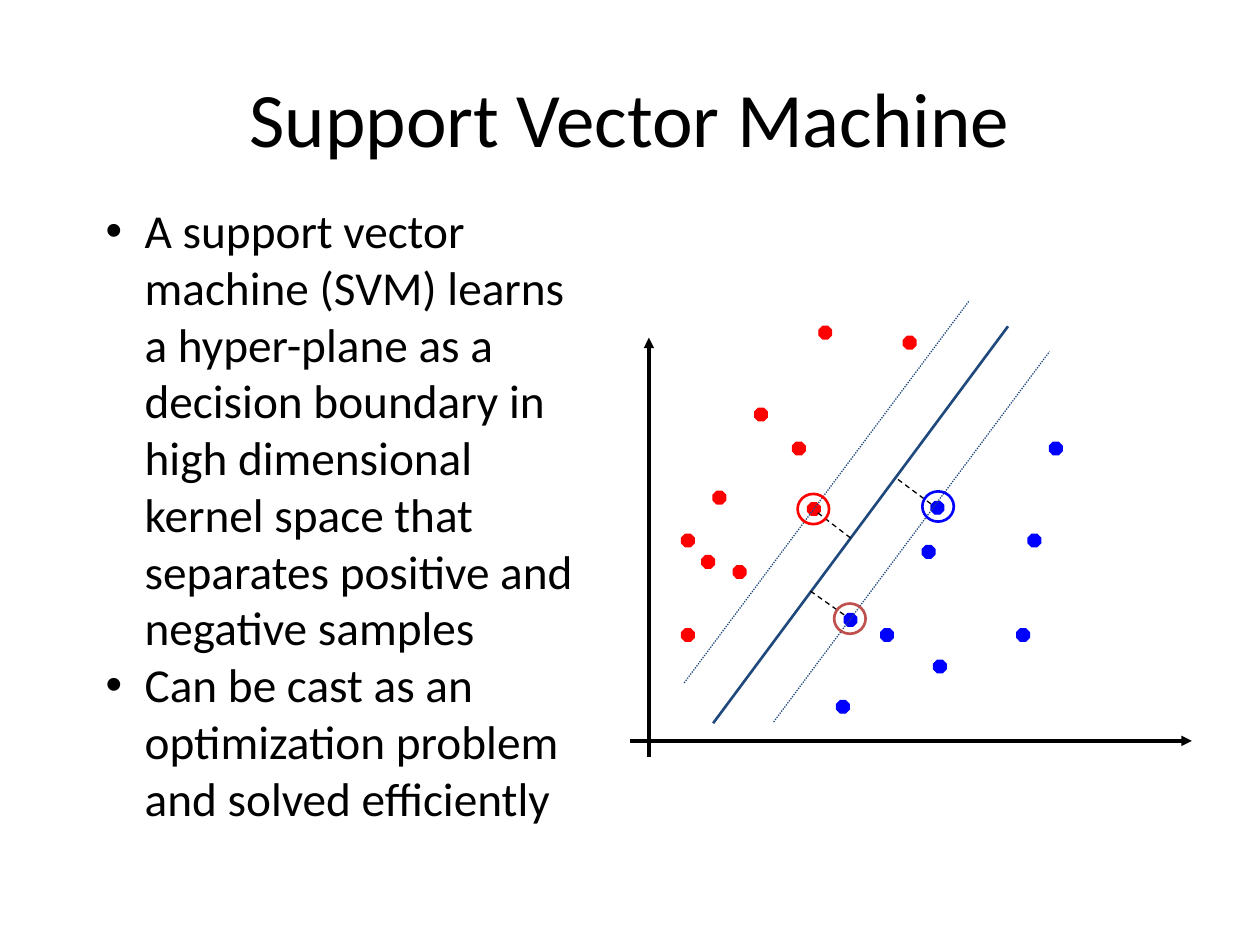
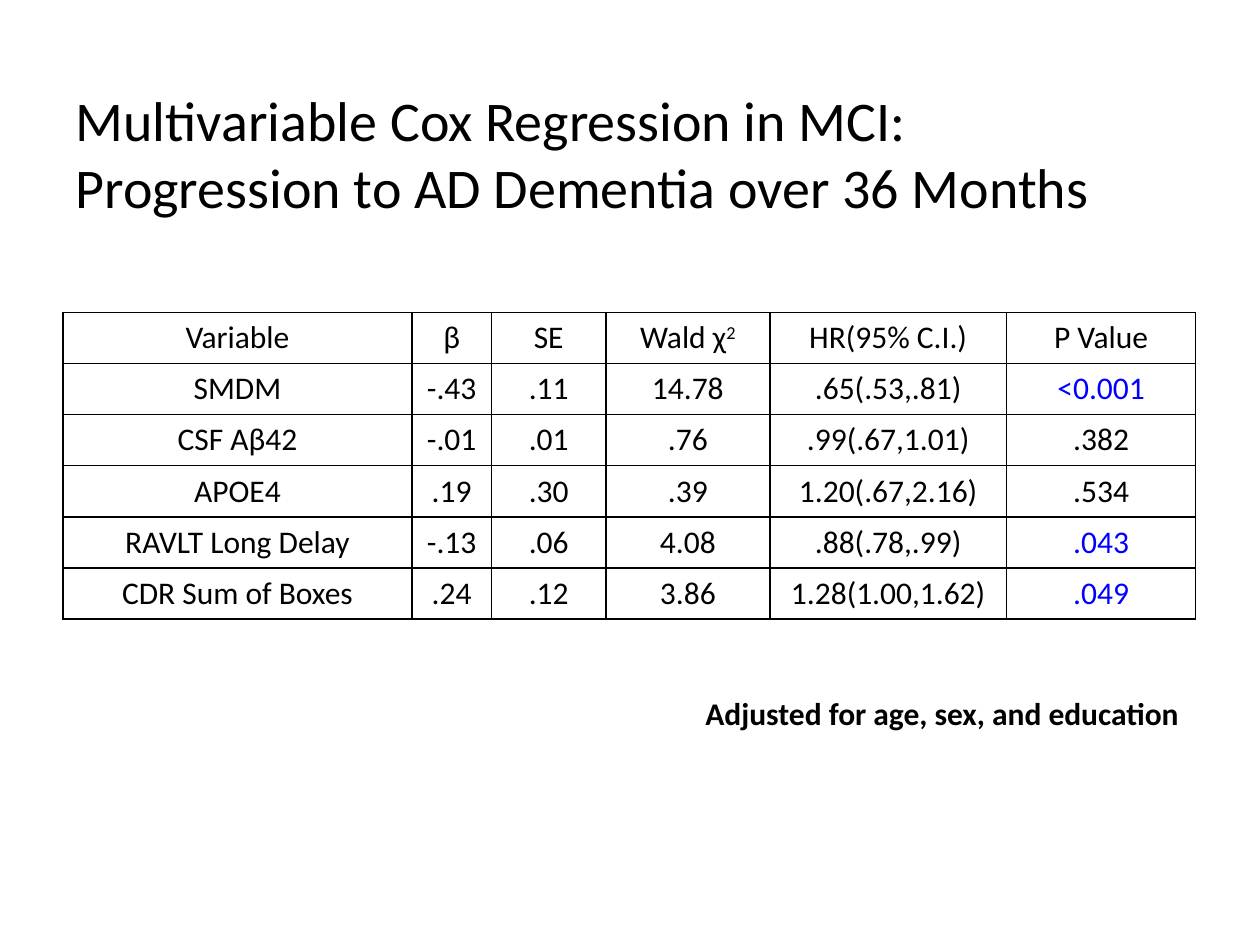
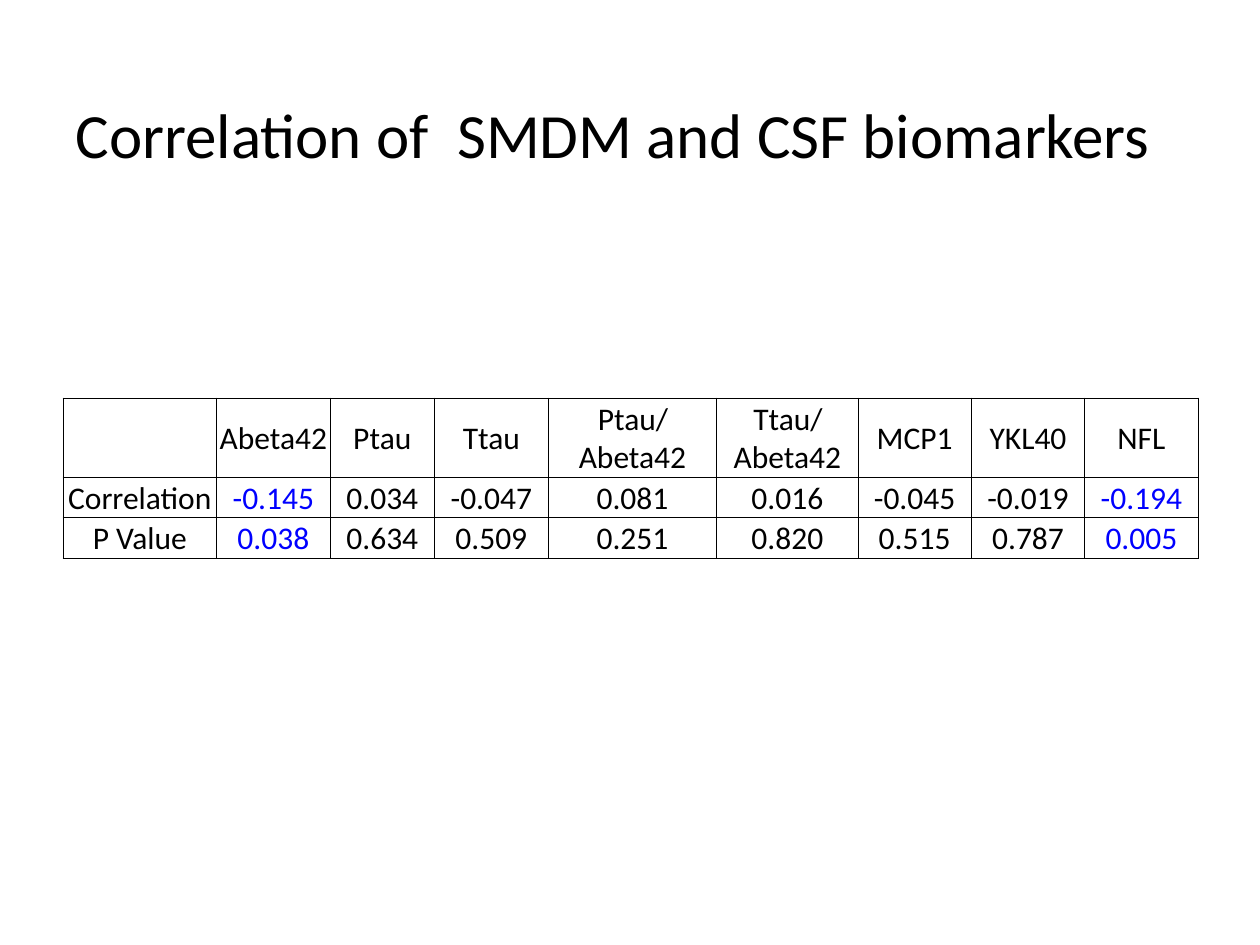
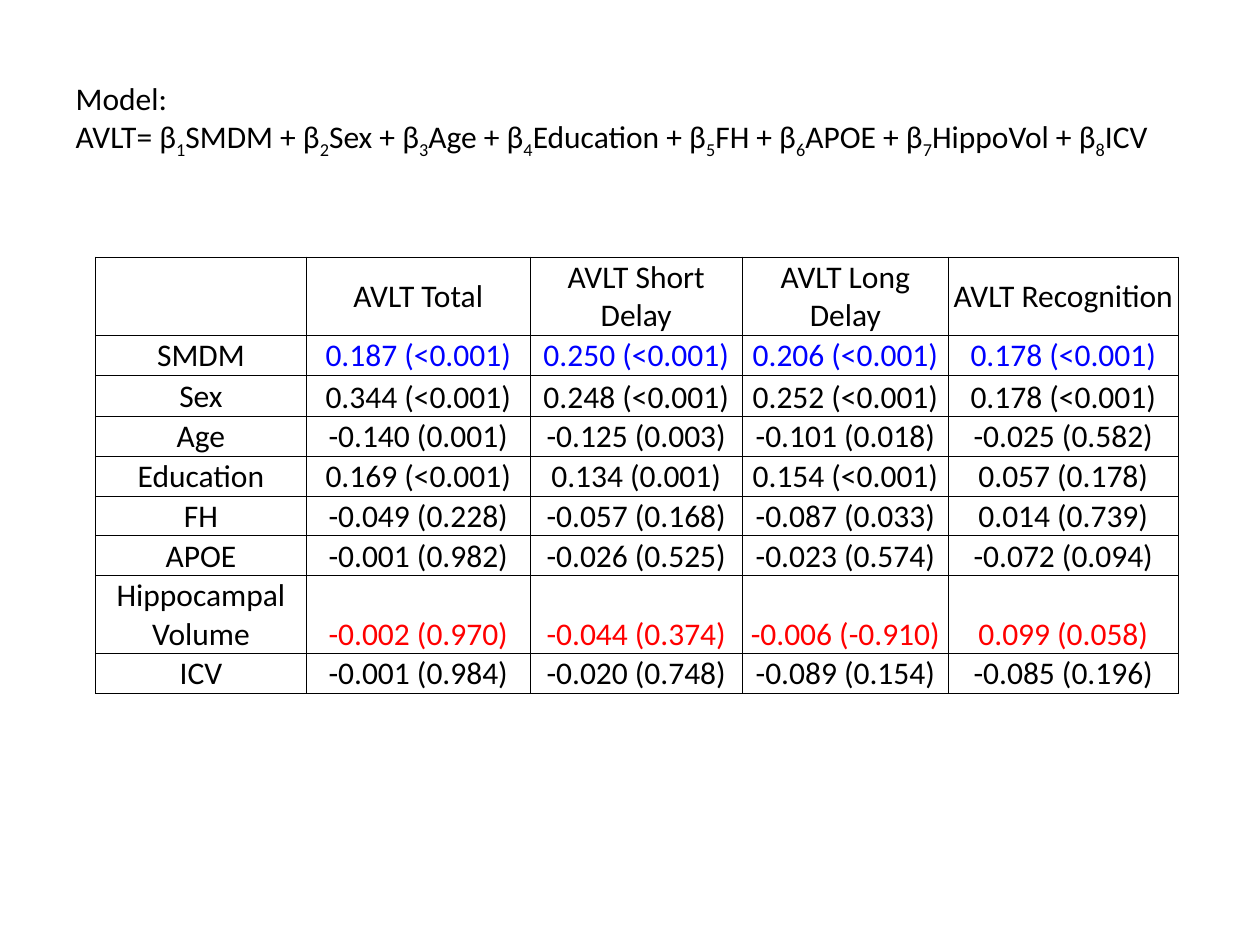
from dataclasses import dataclass, field
from typing import NamedTuple, Optional

from lxml import etree
from pptx import Presentation
from pptx.dml.color import RGBColor
from pptx.enum import dml, shapes, text
from pptx.oxml.ns import qn
from pptx.util import Emu, Pt

PX = 9144  # EMU per px, 100 px to the inch
FONT = "Calibri"
COLORS = {
    "black": "000000",
    "red": "FF0000",
    "blue": "0000FF",
    "navy": "1F497D",
    "brick": "C0504D",
}
CENTER, LEFT = text.PP_ALIGN.CENTER, text.PP_ALIGN.LEFT
TOP, MIDDLE, BOTTOM = (text.MSO_ANCHOR.TOP, text.MSO_ANCHOR.MIDDLE,
                       text.MSO_ANCHOR.BOTTOM)
DASH, DOT = dml.MSO_LINE.DASH, dml.MSO_LINE.ROUND_DOT


class Run(NamedTuple):
    words: str
    baseline: int = 0  # percent, as for super- and subscripts


class Box(NamedTuple):
    left: int
    top: int
    width: int
    height: int

    def emu(self) -> list[Emu]:
        return [px(length) for length in self]


class Segment(NamedTuple):
    start: tuple[int, int]
    end: tuple[int, int]
    color: str
    width: float
    dash: Optional[dml.MSO_LINE] = None
    arrow: bool = False


class Ring(NamedTuple):
    left: int
    top: int
    color: str


@dataclass
class Grid:
    left: int
    top: int
    columns: list[int]
    heights: list[int]
    rows: list[list]
    border: float
    compact: bool = True  # narrow margins, figures set at the bottom
    marks: dict[tuple[int, int], str] = field(default_factory=dict)


def px(length: int) -> Emu:
    return Emu(length * PX)


def rgb(name: str) -> RGBColor:
    return RGBColor.from_string(COLORS[name])


# Text

def write(frame, paragraphs: list, size: int, align=LEFT,
          color: str = "black", bold: bool = False) -> None:
    """Fill a frame; a paragraph is a string or a list of runs."""
    for index, content in enumerate(paragraphs):
        paragraph = frame.paragraphs[0] if index == 0 else frame.add_paragraph()
        paragraph.alignment = align
        pieces = [Run(content)] if isinstance(content, str) else content
        for piece in pieces:
            run = paragraph.add_run()
            run.text = piece.words
            run.font.name, run.font.size, run.font.bold = FONT, Pt(size), bold
            run.font.color.rgb = rgb(color)
            if piece.baseline:
                run.font._element.set("baseline", str(piece.baseline * 1000))


def add_titled_slide(deck, paragraphs: list, box: Box, size: int,
                     align=LEFT, anchor=TOP):
    slide = deck.slides.add_slide(deck.slide_layouts[5])
    title = slide.shapes.title
    title.left, title.top, title.width, title.height = box.emu()
    frame = title.text_frame
    frame.word_wrap = True
    frame.auto_size = text.MSO_AUTO_SIZE.NONE
    frame.vertical_anchor = anchor
    write(frame, paragraphs, size, align)
    return slide


def add_text(slide, box: Box, paragraphs: list, size: int, bold: bool = False):
    frame = slide.shapes.add_textbox(*box.emu()).text_frame
    frame.word_wrap = True
    frame.auto_size = text.MSO_AUTO_SIZE.SHAPE_TO_FIT_TEXT
    write(frame, paragraphs, size, bold=bold)
    return frame


def add_bullets(frame, indent: int) -> None:
    for paragraph in frame.paragraphs:
        properties = paragraph._p.get_or_add_pPr()
        properties.set("marL", str(px(indent)))
        properties.set("indent", str(-px(indent)))
        etree.SubElement(properties, qn("a:buFont"), typeface="Arial")
        etree.SubElement(properties, qn("a:buChar"), char="•")


# Lines and markers

def add_segment(slide, segment: Segment) -> None:
    ends = [px(length) for length in segment.start + segment.end]
    connector = slide.shapes.add_connector(shapes.MSO_CONNECTOR.STRAIGHT, *ends)
    line = connector.line
    line.color.rgb = rgb(segment.color)
    line.width = Pt(segment.width)
    if segment.dash:
        line.dash_style = segment.dash
    if segment.arrow:
        etree.SubElement(line._get_or_add_ln(), qn("a:tailEnd"), type="triangle")
    etree.SubElement(connector._element.spPr, qn("a:effectLst"))


def add_marker(slide, kind, box: Box, color: str, width: float,
               filled: bool) -> None:
    marker = slide.shapes.add_shape(kind, *box.emu())
    marker.shadow.inherit = False
    if filled:
        marker.fill.solid()
        marker.fill.fore_color.rgb = rgb(color)
    else:
        marker.fill.background()
    marker.line.color.rgb = rgb(color)
    marker.line.width = Pt(width)


# Tables

def border_cell(cell, width: float) -> None:
    properties = cell._tc.get_or_add_tcPr()
    for index, side in enumerate(("lnL", "lnR", "lnT", "lnB")):
        line = etree.Element(qn(f"a:{side}"), w=str(Pt(width)))
        fill = etree.SubElement(line, qn("a:solidFill"))
        etree.SubElement(fill, qn("a:srgbClr"), val=COLORS["black"])
        properties.insert(index, line)


def add_grid(slide, grid: Grid) -> None:
    box = Box(grid.left, grid.top, sum(grid.columns), sum(grid.heights))
    table = slide.shapes.add_table(
        len(grid.heights), len(grid.columns), *box.emu()).table
    table.first_row = table.horz_banding = False
    for column, width in zip(table.columns, grid.columns):
        column.width = px(width)
    for row, height in zip(table.rows, grid.heights):
        row.height = px(height)
    for r, values in enumerate(grid.rows):
        for c, value in enumerate(values):
            cell = table.cell(r, c)
            cell.fill.background()
            border_cell(cell, grid.border)
            if grid.compact:
                cell.margin_left = cell.margin_top = cell.margin_right = px(1)
                cell.margin_bottom = 0
                cell.vertical_anchor = MIDDLE if r == 0 or c == 0 else BOTTOM
            if value:
                write(cell.text_frame, [value], 18, CENTER,
                      grid.marks.get((r, c), "black"))


# Slide 1: support vector machine

AXES = [
    Segment((515, 601), (515, 268), "black", 2, arrow=True),
    Segment((500, 588), (946, 588), "black", 2, arrow=True),
]
DOT_SIZE = 10
SAMPLES = {
    "red": [(629, 351), (566, 390), (582, 449), (541, 499), (599, 324),
            (541, 424), (557, 441), (641, 399), (650, 259), (717, 267)],
    "blue": [(739, 398), (699, 499), (807, 499), (664, 556), (732, 433),
             (670, 487), (741, 524), (816, 424), (833, 351)],
}
SUPPORT_RINGS = [Ring(633, 392, "red"), Ring(662, 479, "brick"),
                 Ring(732, 390, "blue")]
BOUNDARY = [
    Segment((566, 574), (800, 259), "navy", 1.5),
    Segment((739, 400), (712, 380), "black", 0.75, DASH),
    Segment((670, 488), (643, 469), "black", 0.75, DASH),
    Segment((675, 427), (649, 407), "black", 0.75, DASH),
    Segment((614, 573), (833, 279), "navy", 0.75, DOT),
    Segment((543, 542), (769, 239), "navy", 0.75, DOT),
]


def build_svm(deck) -> None:
    slide = add_titled_slide(deck, ["Support Vector Machine"],
                             Box(50, 30, 900, 125), 44, CENTER, MIDDLE)
    for axis in AXES:
        add_segment(slide, axis)
    for color, corners in SAMPLES.items():
        for left, top in corners:
            add_marker(slide, shapes.MSO_SHAPE.OCTAGON,
                       Box(left, top, DOT_SIZE, DOT_SIZE), color, 0.75, True)
    for segment in BOUNDARY:
        add_segment(slide, segment)
    for ring in SUPPORT_RINGS:
        add_marker(slide, shapes.MSO_SHAPE.OVAL,
                   Box(ring.left, ring.top, 25, 24), ring.color, 1.5, False)
    points = add_text(slide, Box(74, 155, 400, 510), [
        "A support vector machine (SVM) learns a hyper-plane as a decision "
        "boundary in high dimensional kernel space that separates positive "
        "and negative samples",
        "Can be cast as an optimization problem and solved efficiently",
    ], 27)
    add_bullets(points, 31)


# Slide 2: Cox regression

COX = Grid(
    50, 248, [277, 63, 91, 130, 188, 150], [40] * 6,
    [
        ["Variable", "β", "SE", [Run("Wald χ"), Run("2", 30)],
         "HR(95% C.I.)", "P Value"],
        ["SMDM", "-.43", ".11", "14.78", ".65(.53,.81)", "<0.001"],
        ["CSF Aβ42", "-.01", ".01", ".76", ".99(.67,1.01)", ".382"],
        ["APOE4", ".19", ".30", ".39", "1.20(.67,2.16)", ".534"],
        ["RAVLT Long Delay", "-.13", ".06", "4.08", ".88(.78,.99)", ".043"],
        ["CDR Sum of Boxes", ".24", ".12", "3.86", "1.28(1.00,1.62)", ".049"],
    ],
    border=1, compact=False, marks={(r, 5): "blue" for r in (1, 4, 5)},
)


def build_cox(deck) -> None:
    slide = add_titled_slide(deck, [
        "Multivariable Cox Regression in MCI:",
        "Progression to AD Dementia over 36 Months",
    ], Box(50, 63, 900, 118), 32)
    add_grid(slide, COX)
    add_text(slide, Box(550, 546, 400, 40),
             ["Adjusted for age, sex, and education"], 18, bold=True)


# Slide 3: biomarker correlations

BIOMARKERS = Grid(
    50, 316, [122, 90, 83, 90, 134, 112, 90, 90, 90], [63, 32, 32],
    [
        ["", "Abeta42", "Ptau", "Ttau", "Ptau/Abeta42", "Ttau/Abeta42",
         "MCP1", "YKL40", "NFL"],
        ["Correlation", "-0.145", "0.034", "-0.047", "0.081", "0.016",
         "-0.045", "-0.019", "-0.194"],
        ["P Value", "0.038", "0.634", "0.509", "0.251", "0.820",
         "0.515", "0.787", "0.005"],
    ],
    border=0.5, marks={(r, c): "blue" for r in (1, 2) for c in (1, 8)},
)


def build_biomarkers(deck) -> None:
    slide = add_titled_slide(deck, ["Correlation of  SMDM and CSF biomarkers"],
                             Box(50, 71, 900, 120), 36)
    add_grid(slide, BIOMARKERS)


# Slide 4: AVLT model

PREDICTORS = ["SMDM", "Sex", "Age", "Education", "FH", "APOE", "HippoVol", "ICV"]
AVLT = Grid(
    76, 204, [167, 178, 168, 164, 182], [61, 30, 33] + [30] * 6,
    [
        ["", "AVLT Total", "AVLT Short Delay", "AVLT Long Delay",
         "AVLT Recognition"],
        ["SMDM", "0.187 (<0.001)", "0.250 (<0.001)", "0.206 (<0.001)",
         "0.178 (<0.001)"],
        ["Sex", "0.344 (<0.001)", "0.248 (<0.001)", "0.252 (<0.001)",
         "0.178 (<0.001)"],
        ["Age", "-0.140 (0.001)", "-0.125 (0.003)", "-0.101 (0.018)",
         "-0.025 (0.582)"],
        ["Education", "0.169 (<0.001)", "0.134 (0.001)", "0.154 (<0.001)",
         "0.057 (0.178)"],
        ["FH", "-0.049 (0.228)", "-0.057 (0.168)", "-0.087 (0.033)",
         "0.014 (0.739)"],
        ["APOE", "-0.001 (0.982)", "-0.026 (0.525)", "-0.023 (0.574)",
         "-0.072 (0.094)"],
        ["Hippocampal Volume", "-0.002 (0.970)", "-0.044 (0.374)",
         "-0.006 (-0.910)", "0.099 (0.058)"],
        ["ICV", "-0.001 (0.984)", "-0.020 (0.748)", "-0.089 (0.154)",
         "-0.085 (0.196)"],
    ],
    border=0.5,
    marks={(r, c): color for r, color in ((1, "blue"), (7, "red"))
           for c in range(1, 5)},
)


def model_formula() -> list[Run]:
    formula = [Run("AVLT= β")]
    for number, predictor in enumerate(PREDICTORS, 1):
        joint = " + β" if number < len(PREDICTORS) else ""
        formula += [Run(str(number), -25), Run(predictor + joint)]
    return formula


def build_avlt(deck) -> None:
    slide = add_titled_slide(deck, ["Model:", model_formula()],
                             Box(50, 58, 900, 71), 18)
    add_grid(slide, AVLT)


def main() -> None:
    deck = Presentation()
    deck.slide_width, deck.slide_height = px(1000), px(750)
    for build in (build_svm, build_cox, build_biomarkers, build_avlt):
        build(deck)
    deck.save("out.pptx")


if __name__ == "__main__":
    main()
